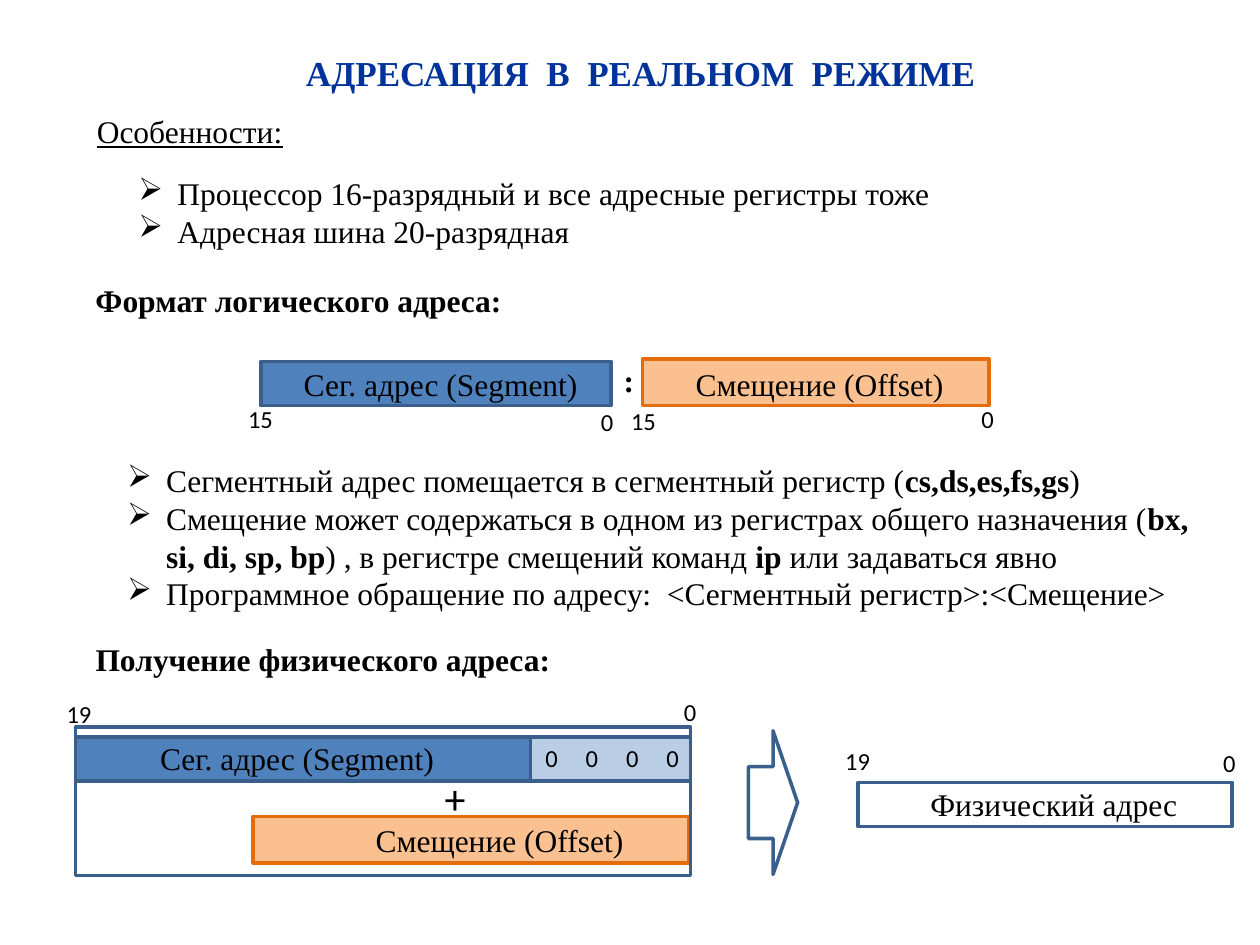
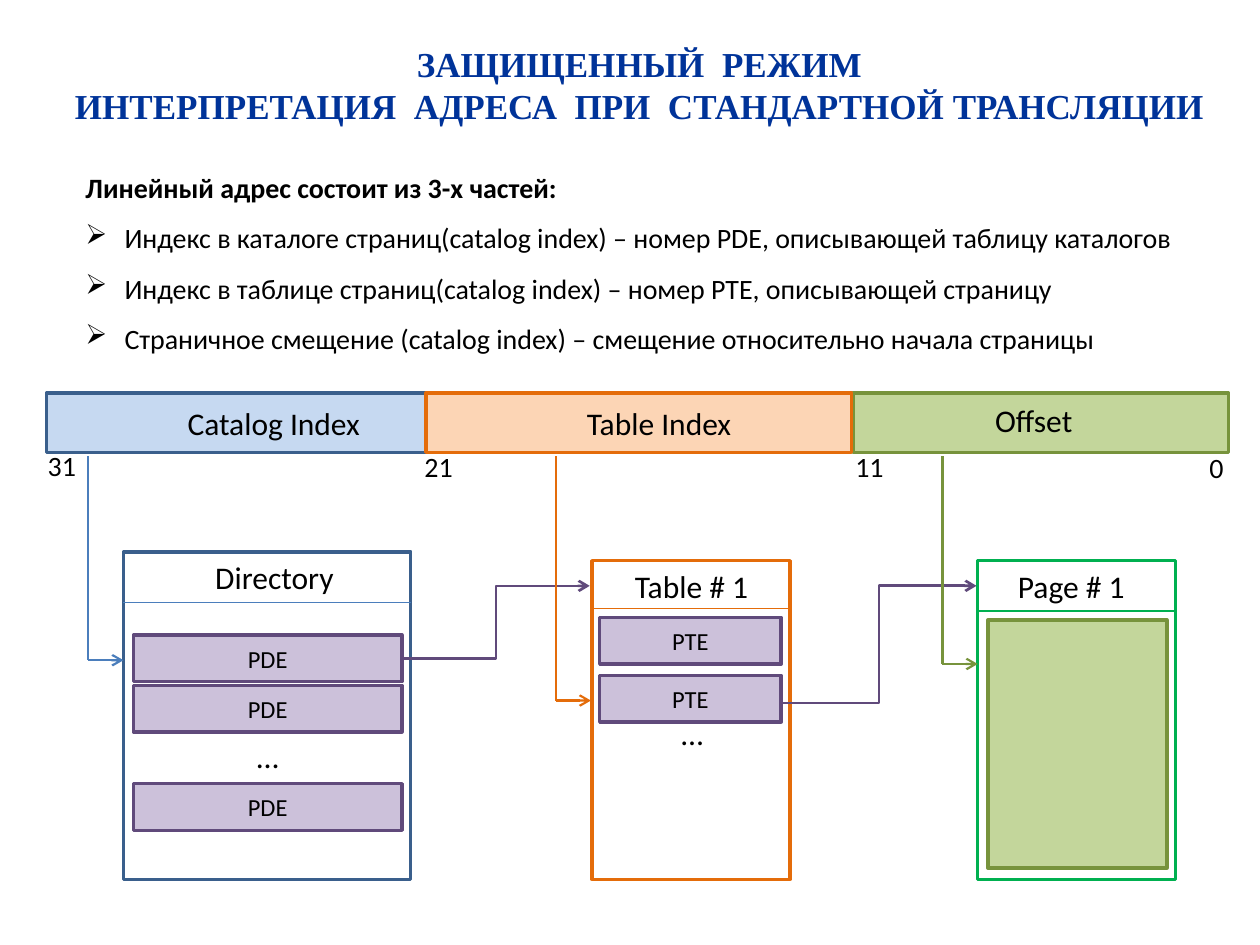
from lxml import etree
from pptx import Presentation
from pptx import util as u
from pptx.dml.color import RGBColor
from pptx.enum import shapes, text
from pptx.oxml.ns import qn

SERIF, SANS = "Times New Roman", "Calibri"
BLACK, TITLE_BLUE = "000000", "003399"
NAVY, BLUE, PALE_BLUE, SKY = "3A5F8C", "4F81BD", "B9CDE5", "C6D9F1"
LINK_BLUE = "4B7EBC"
ORANGE, PEACH, PALE_PEACH = "E46C0A", "FAC090", "FCD5B5"
OLIVE, PALE_GREEN, GREEN = "77933C", "C3D69B", "00B050"
PURPLE, LILAC = "604A7B", "CCC1DA"
CENTER, JUSTIFY = text.PP_ALIGN.CENTER, text.PP_ALIGN.JUSTIFY
RECT = shapes.MSO_SHAPE.RECTANGLE


def rgb(color):
    return RGBColor.from_string(color)


def inches(*lengths):
    return [u.Inches(length) for length in lengths]


# Text: "*" switches bold on and off, a leading "➢" makes a bullet
def add_bullet(paragraph):
    props = paragraph._p.get_or_add_pPr()
    props.set("marL", str(u.Inches(0.31)))
    props.set("indent", str(-u.Inches(0.31)))
    etree.SubElement(props, qn("a:buChar")).set("char", "➢")


def write(frame, content, size=18, font=SERIF, color=BLACK, bold=False,
          underline=False, align=None, spacing=None):
    for number, line in enumerate(content.split("\n")):
        paragraph = frame.add_paragraph() if number else frame.paragraphs[0]
        if spacing:
            paragraph.line_spacing = spacing
        if align is not None:
            paragraph.alignment = align
        if line.startswith("➢"):
            add_bullet(paragraph)
            line = line[1:]
        for part, words in enumerate(line.split("*")):
            if not words:
                continue
            run = paragraph.add_run()
            run.text = words
            run.font.size = u.Pt(size)
            run.font.name = font
            run.font.bold = bold or part % 2 == 1
            run.font.underline = underline
            run.font.color.rgb = rgb(color)


def add_label(slide, content, left, top, width, height=0.4, wrap=False, **style):
    label = slide.shapes.add_textbox(*inches(left, top, width, height))
    label.text_frame.word_wrap = wrap
    write(label.text_frame, content, **style)


def add_bit(slide, number, left, top, size=14):
    """Bit number at the edge of an address field."""
    add_label(slide, number, left, top, 0.25 + 0.1 * len(number), 0.34,
              size=size, font=SANS)


def add_title(slide, content, left, top, width, height):
    title = slide.shapes.title
    title.left, title.top, title.width, title.height = inches(left, top, width, height)
    frame = title.text_frame
    frame.word_wrap = True
    frame.auto_size = text.MSO_AUTO_SIZE.NONE
    frame.vertical_anchor = text.MSO_ANCHOR.TOP
    write(frame, content, size=20, color=TITLE_BLUE, bold=True, align=CENTER)


# Shapes and lines
def add_box(slide, left, top, width, height, line, fill=None, kind=RECT, caption=None):
    box = slide.shapes.add_shape(kind, *inches(left, top, width, height))
    box.shadow.inherit = False
    if fill:
        box.fill.solid()
        box.fill.fore_color.rgb = rgb(fill)
    else:
        box.fill.background()
    box.line.color.rgb = rgb(line)
    box.line.width = u.Pt(2)
    if caption:
        box.text_frame.vertical_anchor = text.MSO_ANCHOR.MIDDLE
        write(box.text_frame, caption, size=14, font=SANS, align=CENTER)
    return box


def add_line(slide, start, end, color, width=1.25, arrow=False, elbow=False):
    kind = shapes.MSO_CONNECTOR.ELBOW if elbow else shapes.MSO_CONNECTOR.STRAIGHT
    line = slide.shapes.add_connector(kind, *inches(*start, *end))
    line.line.color.rgb = rgb(color)
    line.line.width = u.Pt(width)
    if arrow:
        tail = etree.SubElement(line.line._get_or_add_ln(), qn("a:tailEnd"))
        tail.set("type", "arrow")
    etree.SubElement(line._element.spPr, qn("a:effectLst"))
    return line


def add_pointer(slide, x, bottom, color):
    """Line down from an address field, then an arrow to the right."""
    add_line(slide, (x, 3.62), (x, bottom), color)
    add_line(slide, (x, bottom), (x + 0.28, bottom), color, arrow=True)


def add_frame(slide, caption, caption_left, left, top, width, divider, color,
              divider_color):
    """Memory structure: outline, caption and a line under the caption."""
    add_box(slide, left, top, width, 6.98 - top, color)
    add_label(slide, caption, caption_left, top, 1.25, font=SANS)
    add_line(slide, (left, divider), (left + width, divider), divider_color, 0.75)


def build_real_mode(slide):
    add_title(slide, "АДРЕСАЦИЯ  В  РЕАЛЬНОМ  РЕЖИМЕ", 1.06, 0.36, 8.05, 0.44)
    add_label(slide, "Особенности:", 0.67, 0.84, 1.69, underline=True)
    add_label(slide, "➢Процессор 16-разрядный и все адресные регистры тоже\n"
                     "➢Адресная шина 20-разрядная", 1, 1.33, 6.55, 0.71)
    add_label(slide, "Формат логического адреса:", 0.66, 2.18, 3.46, bold=True)
    add_label(slide, "Получение физического адреса:", 0.66, 5.03, 3.85, bold=True)

    # Logical address
    segment, offset = "Сег. адрес (Segment) ", "Смещение (Offset)"
    add_box(slide, 2.07, 2.87, 2.78, 0.35, NAVY, BLUE)
    add_box(slide, 5.1, 2.85, 2.75, 0.37, ORANGE, PEACH)
    add_label(slide, segment, 2.3, 2.85, 2.46, align=CENTER)
    add_label(slide, offset, 5.41, 2.85, 2.19, align=CENTER)
    add_label(slide, ":", 4.85, 2.82, 0.29, bold=True)
    for number, left, top in [("15", 1.87, 3.16), ("0", 4.67, 3.18),
                              ("15", 4.91, 3.17), ("0", 7.69, 3.16)]:
        add_bit(slide, number, left, top)

    add_label(slide,
              "➢Сегментный адрес помещается в сегментный регистр (*cs,ds,es,fs,gs*)\n"
              "➢Смещение может содержаться в одном из регистрах общего назначения "
              "(*bx, si, di, sp, bp*) , в регистре смещений команд *ip *или "
              "задаваться явно\n"
              "➢Программное обращение по адресу:  <Сегментный регистр>:<Смещение>",
              0.91, 3.61, 8.78, 1.31, wrap=True)

    # Sum of the shifted segment and the offset
    add_box(slide, 0.6, 5.85, 3.61, 0.35, NAVY, BLUE)
    add_box(slide, 2.01, 6.48, 3.46, 0.37, ORANGE, PEACH)
    add_box(slide, 0.6, 5.77, 4.88, 1.18, NAVY)
    add_box(slide, 4.21, 5.85, 1.27, 0.35, NAVY, PALE_BLUE)
    add_label(slide, segment, 1.16, 5.82, 2.46, align=CENTER)
    add_label(slide, offset, 2.87, 6.47, 2.19, align=CENTER)
    add_label(slide, "+", 3.43, 6.08, 0.37, 0.5, size=24, font=SANS)
    for position in range(4):
        add_bit(slide, "0", 4.23 + 0.32 * position, 5.85)
    add_bit(slide, "19", 0.43, 5.5)
    add_bit(slide, "0", 5.33, 5.48)

    # Physical address
    add_box(slide, 5.94, 5.8, 0.39, 1.14, NAVY, kind=shapes.MSO_SHAPE.RIGHT_ARROW)
    add_box(slide, 6.81, 6.21, 2.97, 0.35, NAVY)
    add_label(slide, "Физический адрес ", 7.08, 6.18, 2.63, wrap=True, align=CENTER)
    add_bit(slide, "19", 6.61, 5.87)
    add_bit(slide, "0", 9.61, 5.89)


def build_protected_mode(slide):
    add_title(slide, "ЗАЩИЩЕННЫЙ  РЕЖИМ\n"
                     "ИНТЕРПРЕТАЦИЯ  АДРЕСА  ПРИ  СТАНДАРТНОЙ ТРАНСЛЯЦИИ",
              0.39, 0.29, 9.37, 0.77)
    add_label(slide,
              "*Линейный адрес состоит из 3-х частей:*\n"
              "➢Индекс в каталоге страниц(catalog index) – номер PDE, "
              "описывающей таблицу каталогов\n"
              "➢Индекс в таблице страниц(catalog index) – номер PTE, "
              "описывающей страницу\n"
              "➢Страничное смещение (catalog index) – смещение относительно "
              "начала страницы",
              0.58, 1.17, 8.92, 1.72, wrap=True, size=16, font=SANS,
              align=JUSTIFY, spacing=1.5)

    # Directory
    add_frame(slide, "Directory", 1.61, 0.98, 4.38, 2.28, 4.78, NAVY, LINK_BLUE)
    directory_entries = [add_box(slide, 1.06, top, 2.13, 0.37, PURPLE, LILAC,
                                 caption="PDE") for top in (5.04, 5.44, 6.22)]
    add_label(slide, "…", 1.94, 5.8, 0.38, font=SANS)

    # Page
    add_frame(slide, "Page # 1", 7.98, 7.76, 4.45, 1.57, 4.85, GREEN, GREEN)
    add_box(slide, 7.84, 4.92, 1.42, 1.97, OLIVE, PALE_GREEN)

    # Page table
    add_frame(slide, "Table # 1", 4.94, 4.7, 4.45, 1.57, 4.83, ORANGE, ORANGE)
    for top in (4.9, 5.36):
        add_box(slide, 4.76, top, 1.44, 0.37, PURPLE, LILAC, caption="PTE")
    add_label(slide, "…", 5.31, 5.62, 0.38, font=SANS)

    # Links from entries to the structures they describe
    to_table = add_line(slide, (3.19, 5.23), (4.68, 4.65), PURPLE, 1.5,
                        arrow=True, elbow=True)
    to_table.begin_connect(directory_entries[0], 3)
    add_line(slide, (6.2, 5.58), (7.75, 4.65), PURPLE, 1.5, arrow=True, elbow=True)

    # Linear address
    for left, width, line, fill, caption, caption_left, caption_top in [
            (0.37, 3.04, NAVY, SKY, "Catalog Index", 1.39, 3.16),
            (6.77, 2.98, OLIVE, PALE_GREEN, "Offset", 7.8, 3.13),
            (3.38, 3.38, ORANGE, PALE_PEACH, "Table Index", 4.56, 3.16)]:
        add_box(slide, left, 3.12, width, 0.47, line, fill)
        add_label(slide, caption, caption_left, caption_top, 1.6, font=SANS)
    for number, left, top in [("31", 0.28, 3.51), ("21", 3.27, 3.52),
                              ("11", 6.69, 3.52), ("0", 9.5, 3.53)]:
        add_bit(slide, number, left, top, size=16)
    for x, bottom, color in [(0.7, 5.24, LINK_BLUE), (4.41, 5.56, ORANGE),
                             (7.48, 5.27, OLIVE)]:
        add_pointer(slide, x, bottom, color)


def main():
    deck = Presentation()
    deck.slide_width, deck.slide_height = inches(10, 7.5)
    title_only = deck.slide_layouts[5]
    for build in (build_real_mode, build_protected_mode):
        build(deck.slides.add_slide(title_only))
    deck.save("out.pptx")


if __name__ == "__main__":
    main()
